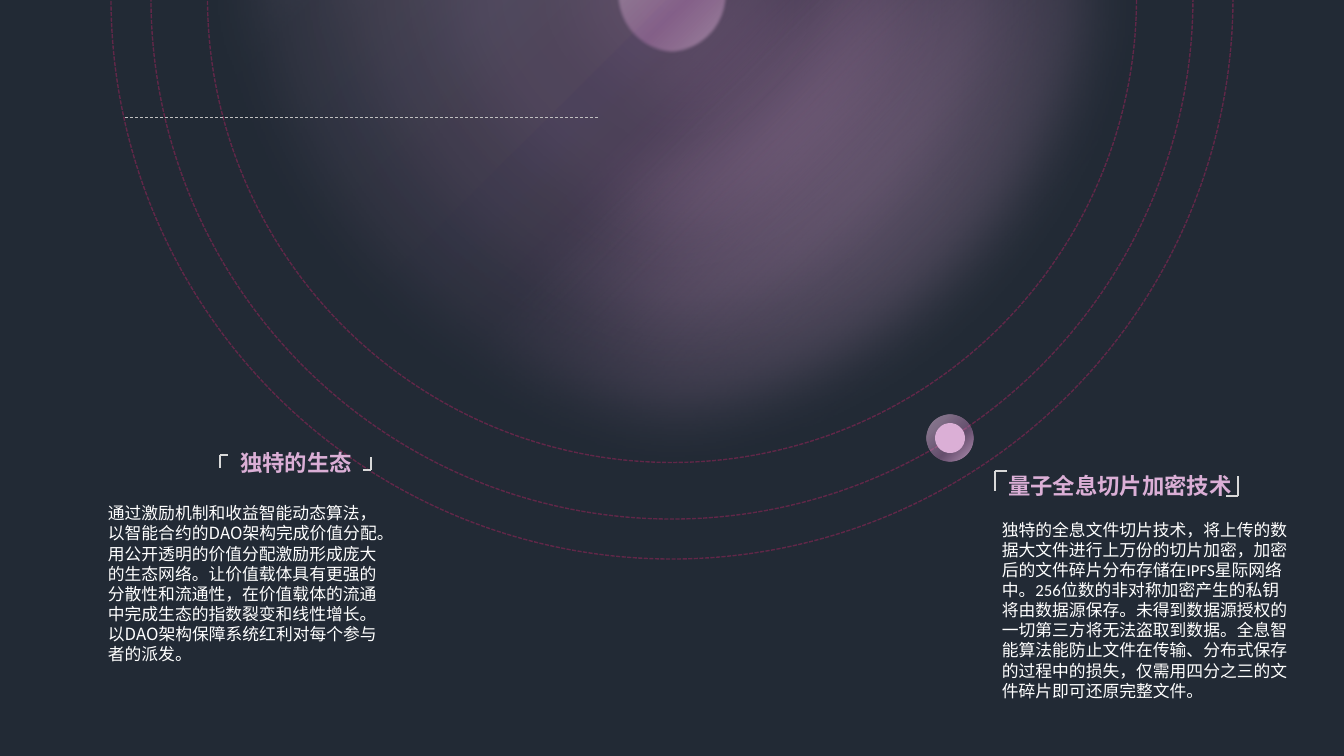
"""Build a dark slide with a glowing planet, dashed orbits and two captioned texts."""
import dataclasses

import lxml.etree
import pptx
import pptx.dml.color
import pptx.enum.dml
import pptx.enum.shapes
import pptx.enum.text
import pptx.oxml.ns
import pptx.util

PX = 914400 / 100.8
CENTRE = (672, -2)


@dataclasses.dataclass(frozen=True)
class Theme:
    """Colours, fonts and type sizes of the slide."""

    night: str = "222A35"
    orbit: str = "612748"
    glow: tuple = ("ECD4E9", "C784BF", "DBAFD6", "ECD4E9")
    pink: str = "DBAFD6"
    bracket: str = "D9D9D9"
    rule: str = "C0C0C0"
    white: str = "FFFFFF"
    cjk: str = "Noto Sans CJK SC"
    latin: str = "Calibri"
    title: float = 16
    title_line: float = 19.4
    body: float = 12
    body_line: float = 14.4


THEME = Theme()


def px(length):
    """Turn pixels into EMU."""
    return pptx.util.Emu(round(length * PX))


def rgb(colour):
    """Turn a hex string into a colour."""
    return pptx.dml.color.RGBColor.from_string(colour)


def child(parent, tag, **attributes):
    """Append a DrawingML element and return it."""
    element = lxml.etree.SubElement(parent, pptx.oxml.ns.qn(tag))
    for name, value in attributes.items():
        element.set(name, str(value))
    return element


def add_plain(slide, kind, left, top, width, height, fill=None):
    """Add a preset shape without line or shadow."""
    shape = slide.shapes.add_shape(kind, px(left), px(top), px(width), px(height))
    shape.shadow.inherit = False
    shape.line.fill.background()
    if fill:
        shape.fill.solid()
        shape.fill.fore_color.rgb = rgb(fill)
    else:
        shape.fill.background()
    return shape


def add_disc(slide, centre, diameter, rotation, fill=None):
    """Add a circle around a centre point."""
    left, top = (middle - diameter / 2 for middle in centre)
    oval = pptx.enum.shapes.MSO_SHAPE.OVAL
    disc = add_plain(slide, oval, left, top, diameter, diameter, fill)
    disc.rotation = rotation
    return disc


def add_orbit(slide, diameter, rotation):
    """Add a dashed ring."""
    ring = add_disc(slide, CENTRE, diameter, rotation)
    ring.line.color.rgb = rgb(THEME.orbit)
    ring.line.width = pptx.util.Pt(1)
    ring.line.dash_style = pptx.enum.dml.MSO_LINE.SQUARE_DOT


def add_glow(slide, centre, diameter, rotation, alphas, soft=0):
    """Add a translucent radial gradient disc with a soft edge in points."""
    disc = add_disc(slide, centre, diameter, rotation)
    properties = disc._element.spPr
    empty = properties.find(pptx.oxml.ns.qn("a:noFill"))
    gradient = child(properties, "a:gradFill", rotWithShape=1)
    properties.replace(empty, gradient)
    stops = child(gradient, "a:gsLst")
    for position, colour, alpha in zip((0, 43, 67, 100), THEME.glow, alphas):
        stop = child(stops, "a:gs", pos=position * 1000)
        tint = child(stop, "a:srgbClr", val=colour)
        child(tint, "a:alpha", val=alpha * 1000)
    shade = child(gradient, "a:path", path="circle")
    child(shade, "a:fillToRect", l=100000, t=100000)
    if soft:
        effects = properties.find(pptx.oxml.ns.qn("a:effectLst"))
        child(effects, "a:softEdge", rad=pptx.util.Pt(soft))


def add_line(slide, start, end, colour, width):
    """Add a straight line without shadow."""
    straight = pptx.enum.shapes.MSO_CONNECTOR.STRAIGHT
    points = [px(value) for value in (*start, *end)]
    line = slide.shapes.add_connector(straight, *points)
    line.line.color.rgb = rgb(colour)
    line.line.width = pptx.util.Pt(width)
    child(line._element.spPr, "a:effectLst")
    return line


def add_corner(slide, x, y, across, down):
    """Add a corner bracket with its arms running from one point."""
    for end in ((x, y + down), (x + across, y)):
        add_line(slide, (x, y), end, THEME.bracket, 1.5)


def add_text(slide, box, text, size, spacing, colour, font):
    """Add a wrapped text box with one paragraph and return its frame."""
    frame = slide.shapes.add_textbox(*map(px, box)).text_frame
    frame.word_wrap = True
    paragraph = frame.paragraphs[0]
    paragraph.line_spacing = pptx.util.Pt(spacing)
    run = paragraph.add_run()
    run.text = text
    run.font.size = pptx.util.Pt(size)
    run.font.name = font
    run.font.color.rgb = rgb(colour)
    child(run._r.get_or_add_rPr(), "a:ea", typeface=THEME.cjk)
    return frame


def add_title(slide, box, text, opening, closing, arms):
    """Add a centred bold caption between two corner brackets."""
    frame = add_text(slide, box, text, THEME.title, THEME.title_line, THEME.pink, THEME.cjk)
    paragraph = frame.paragraphs[0]
    paragraph.alignment = pptx.enum.text.PP_ALIGN.CENTER
    paragraph.runs[0].font.bold = True
    across, down = arms
    add_corner(slide, *opening, across, down)
    add_corner(slide, *closing, -across, -down)


def add_body(slide, box, text, font):
    """Add a white body text and return its frame."""
    return add_text(slide, box, text, THEME.body, THEME.body_line, THEME.white, font)


def main():
    """Compose and save the slide."""
    presentation = pptx.Presentation()
    presentation.slide_width, presentation.slide_height = px(1344), px(756)
    slide = presentation.slides.add_slide(presentation.slide_layouts[6])

    rectangle = pptx.enum.shapes.MSO_SHAPE.RECTANGLE
    add_plain(slide, rectangle, -265, -18, 1745, 818, THEME.night)
    for diameter, rotation in ((1122, 75), (1042, 120.7), (929, 19.2)):
        add_orbit(slide, diameter, rotation)
    for diameter in (968, 791, 610, 368):
        add_glow(slide, CENTRE, diameter, 185.1, (50, 10, 10, 50), 50)
    add_glow(slide, CENTRE, 113, 185.1, (50, 40, 40, 50), 2.5)

    marker = (950, 438)
    add_glow(slide, marker, 46, 218.1, (100, 40, 50, 60))
    add_disc(slide, marker, 30, 218.1, THEME.pink)

    add_title(slide, (217, 444, 158, 37), "独特的生态", (220, 455), (371, 470), (8, 13))
    add_title(slide, (949, 467, 342, 37), "量子全息切片加密技术", (995, 471), (1238, 496), (12, 20))
    add_body(
        slide, (98, 498, 296, 173),
        "通过激励机制和收益智能动态算法，以智能合约的DAO架构完成价值分配。"
        "用公开透明的价值分配激励形成庞大的生态网络。"
        "让价值载体具有更强的分散性和流通性，在价值载体的流通中完成生态的指数裂变和线性增长。"
        "以DAO架构保障系统红利对每个参与者的派发。", THEME.cjk)
    encryption = add_body(
        slide, (992, 513, 310, 194),
        "独特的全息文件切片技术，将上传的数据大文件进行上万份的切片加密，"
        "加密后的文件碎片分布存储在IPFS星际网络中。"
        "256位数的非对称加密产生的私钥将由数据源保存。"
        "未得到数据源授权的一切第三方将无法盗取到数据。"
        "全息智能算法能防止文件在传输、分布式保存的过程中的损失，"
        "仅需用四分之三的文件碎片即可还原完整文件。", THEME.latin)
    encryption.vertical_anchor = pptx.enum.text.MSO_ANCHOR.MIDDLE

    rule = add_line(slide, (125, 117), (598, 117), THEME.rule, 0.5)
    rule.line.dash_style = pptx.enum.dml.MSO_LINE.DASH
    presentation.save("out.pptx")


if __name__ == "__main__":
    main()
